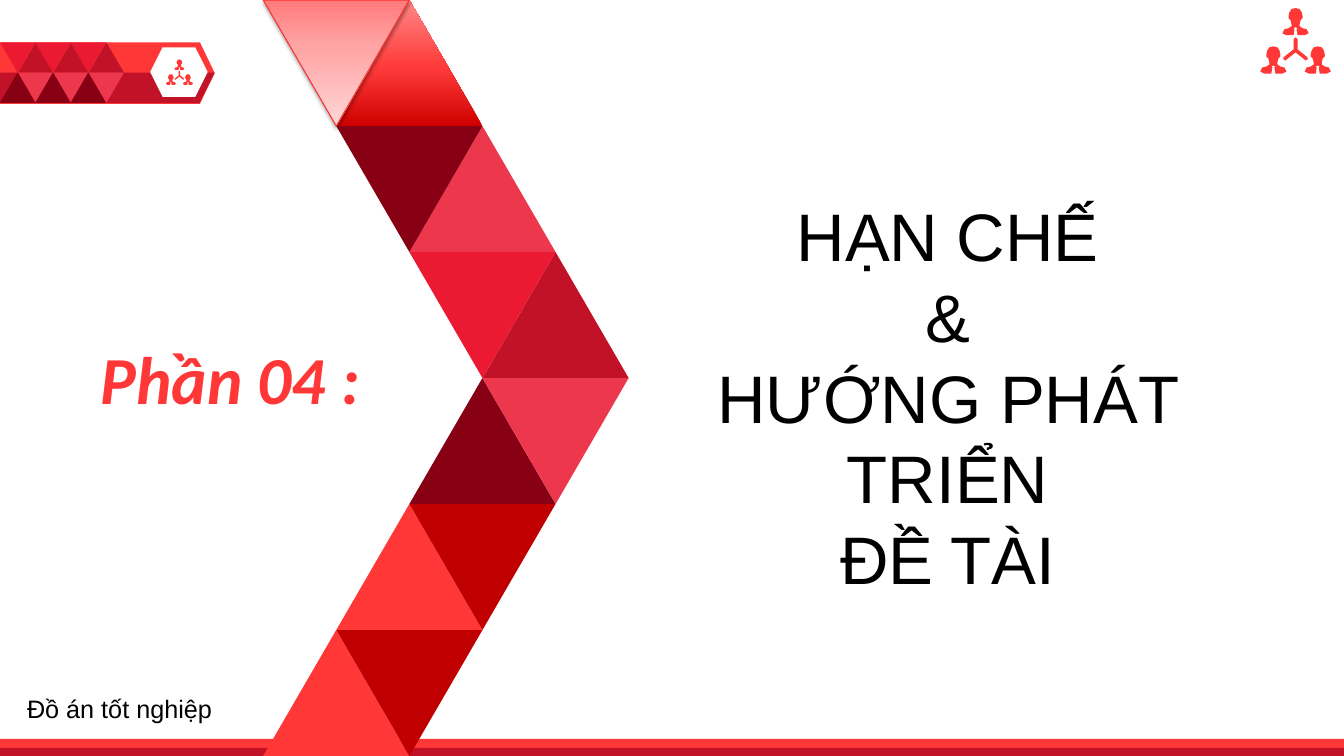
from copy import deepcopy

from pptx import Presentation
from pptx.dml.color import RGBColor
from pptx.enum.shapes import MSO_SHAPE
from pptx.enum.text import MSO_ANCHOR, MSO_AUTO_SIZE, PP_ALIGN
from pptx.oxml import parse_xml
from pptx.oxml.ns import nsdecls, qn
from pptx.util import Inches, Pt

RECTANGLE = MSO_SHAPE.RECTANGLE
TRIANGLE = MSO_SHAPE.ISOSCELES_TRIANGLE
PENTAGON = MSO_SHAPE.PENTAGON
HEXAGON = MSO_SHAPE.HEXAGON
TOP = MSO_ANCHOR.TOP
NO_AUTOFIT = MSO_AUTO_SIZE.NONE
LEFT = PP_ALIGN.LEFT
CENTER = PP_ALIGN.CENTER

WHITE = RGBColor(0xFF, 0xFF, 0xFF)
BLACK = RGBColor(0x00, 0x00, 0x00)
RED = RGBColor(0xFF, 0x37, 0x37)
CRIMSON = RGBColor(0xC2, 0x12, 0x27)
SCARLET = RGBColor(0xEB, 0x19, 0x32)
ROSE = RGBColor(0xED, 0x37, 0x4D)
MAROON = RGBColor(0x88, 0x00, 0x14)
DEEP_RED = RGBColor(0xC0, 0x00, 0x00)
OUTLINE = RGBColor(0xFD, 0x30, 0x30)
DARK_STOPS = [(0, RGBColor(0xCF, 0x00, 0x00)), (0.48, RGBColor(0xFF, 0x3C, 0x3C)),
              (1, RGBColor(0xFF, 0x87, 0x87))]
LIGHT_STOPS = [(0, RGBColor(0xFF, 0x7A, 0x7B)), (0.35, RGBColor(0xFF, 0xA3, 0xA3)),
               (1, RGBColor(0xFF, 0xD6, 0xD6))]

PERSON_HALF = [(0, 0), (0.04, 0.01), (0.06, 0.04), (0.07, 0.08), (0.07, 0.1), (0.05, 0.12),
               (0.04, 0.16), (0.04, 0.18), (0.07, 0.2), (0.11, 0.21), (0.13, 0.25),
               (0.09, 0.27), (0.02, 0.27), (0.01, 0.21), (0.02, 0.2), (0, 0.19)]
LINK_HALF = [(0, 0.29), (0.02, 0.31), (0.02, 0.41), (0.12, 0.49), (0.12, 0.51),
             (0.1, 0.52), (0, 0.44)]
ICON_PARTS = [(PERSON_HALF, 0, 0), (PERSON_HALF, -0.22, 0.38),
              (PERSON_HALF, 0.22, 0.38), (LINK_HALF, 0, 0)]

CHEVRON_ROWS = [(1, DARK_STOPS, 0, LIGHT_STOPS), (2, ROSE, 1, MAROON), (3, CRIMSON, 2, SCARLET),
                (2, MAROON, 3, ROSE), (1, RED, 2, DEEP_RED), (0, RED, 1, DEEP_RED)]


def paint(s, fill):
    """Fill a shape with a colour or a list of gradient stops, without line or shadow."""
    s.shadow.inherit = False
    s.line.fill.background()
    if isinstance(fill, RGBColor):
        s.fill.solid()
        s.fill.fore_color.rgb = fill
        return
    s.fill.gradient()
    s.fill.gradient_angle = 90
    stop_list = s._element.spPr.find(qn("a:gradFill")).find(qn("a:gsLst"))
    stop_list.append(deepcopy(stop_list[-1]))
    for stop, (position, color) in zip(s.fill.gradient_stops, fill):
        stop.position = position
        stop.color.rgb = color


def add_preset(shapes, kind, x, y, w, h, fill, adjustment=None):
    """Add a painted preset shape."""
    s = shapes.add_shape(kind, Inches(x), Inches(y), Inches(w), Inches(h))
    if adjustment is not None:
        s.adjustments[0] = adjustment
    paint(s, fill)
    return s


def add_triangle(shapes, x, y, w, h, fill, down=False):
    """Add a triangle that points up or down."""
    s = add_preset(shapes, TRIANGLE, x, y, w, h, fill)
    s.rotation = 180 if down else 0
    return s


def add_outline(shapes, contours, fill):
    """Add one freeform made of closed contours given in inches."""
    contours = [[(Inches(x), Inches(y)) for x, y in contour] for contour in contours]
    builder = shapes.build_freeform(*contours[0][0])
    for contour in contours:
        builder.move_to(*contour[0])
        builder.add_line_segments(contour[1:], close=True)
    paint(builder.convert_to_shape(), fill)


def add_team_icon(shapes, cx, top, scale):
    """Add the icon of three linked people."""
    contours = []
    for half, dx, dy in ICON_PARTS:
        points = half + [(-x, y) for x, y in reversed(half[1:-1])]
        contours.append([(cx + scale * (x + dx), top + scale * (y + dy)) for x, y in points])
    add_outline(shapes, contours, RED)


def add_badge(shapes):
    """Add the patterned badge at the top left."""
    add_preset(shapes, PENTAGON, 0, 0.42, 2.13, 0.61, RED, 0.24)
    add_outline(shapes, [[(0, 0.72), (2.13, 0.72), (1.98, 1.02), (0, 1.02)]], CRIMSON)
    add_preset(shapes, HEXAGON, 1.49, 0.47, 0.57, 0.49, WHITE, 0.25)
    add_team_icon(shapes, 1.78, 0.59, 0.386)
    for i in range(3):
        x = 0.35 * i
        for dx, y, fill, down in [(0, 0.42, SCARLET, True), (0.18, 0.42, CRIMSON, False),
                                  (0.18, 0.72, ROSE, True), (0, 0.72, MAROON, False)]:
            add_triangle(shapes, x + dx, y, 0.35, 0.3, fill, down)


def add_chevron(shapes):
    """Add the large chevron of triangles."""
    for row, (up_col, up_fill, down_col, down_fill) in enumerate(CHEVRON_ROWS):
        for col, fill, down in [(up_col, up_fill, False), (down_col, down_fill, True)]:
            s = add_triangle(shapes, 2.61 + 0.725 * col, 1.25 * row, 1.45, 1.25, fill, down)
            if fill is LIGHT_STOPS:
                s.line.color.rgb = OUTLINE
                s.line.width = Pt(0.75)
                add_shadow(s)


def add_shadow(s):
    """Give a shape a soft shadow below it."""
    s._element.spPr.find(qn("a:effectLst")).append(parse_xml(
        f'<a:outerShdw {nsdecls("a")} blurRad="{Pt(3.1)}" dist="{Pt(1.6)}" dir="5400000" '
        'rotWithShape="0"><a:srgbClr val="000000"><a:alpha val="37000"/></a:srgbClr>'
        '</a:outerShdw>'))


def write_text(s, x, y, w, h, text, size, font="Arial", color=BLACK, align=LEFT, strong=False):
    """Place a text shape and format its words."""
    s.left, s.top, s.width, s.height = Inches(x), Inches(y), Inches(w), Inches(h)
    tf = s.text_frame
    tf.text = text
    tf.word_wrap = True
    tf.auto_size = NO_AUTOFIT
    tf.vertical_anchor = TOP
    for p in tf.paragraphs:
        p.alignment = align
        for r in p.runs:
            r.font.name = font
            r.font.size = Pt(size)
            r.font.color.rgb = color
            r.font.bold = r.font.italic = strong


def add_text(shapes, x, y, w, h, *args, **kwargs):
    """Add a formatted text box."""
    s = shapes.add_textbox(Inches(x), Inches(y), Inches(w), Inches(h))
    write_text(s, x, y, w, h, *args, **kwargs)


def main():
    """Build the section slide."""
    prs = Presentation()
    prs.slide_width, prs.slide_height = Inches(13.33), Inches(7.5)
    shapes = prs.slides.add_slide(prs.slide_layouts[5]).shapes
    add_badge(shapes)
    add_preset(shapes, RECTANGLE, 0, 7.33, 13.33, 0.16, RED)
    add_preset(shapes, RECTANGLE, 0, 7.42, 13.33, 0.08, CRIMSON)
    add_chevron(shapes)
    add_team_icon(shapes, 12.85, 0.08, 1)
    write_text(shapes.title, 6.7, 1.88, 5.4, 4.14,
               "HẠN CHẾ\n&\nHƯỚNG PHÁT TRIỂN\nĐỀ TÀI", 48, align=CENTER)
    add_text(shapes, 0.9, 3.3, 4.12, 0.9, "Phần 04 :", 48, "Calibri", RED, strong=True)
    add_text(shapes, 0.17, 6.83, 2.83, 0.4, "Đồ án tốt nghiệp", 18)
    prs.save("out.pptx")


if __name__ == "__main__":
    main()
